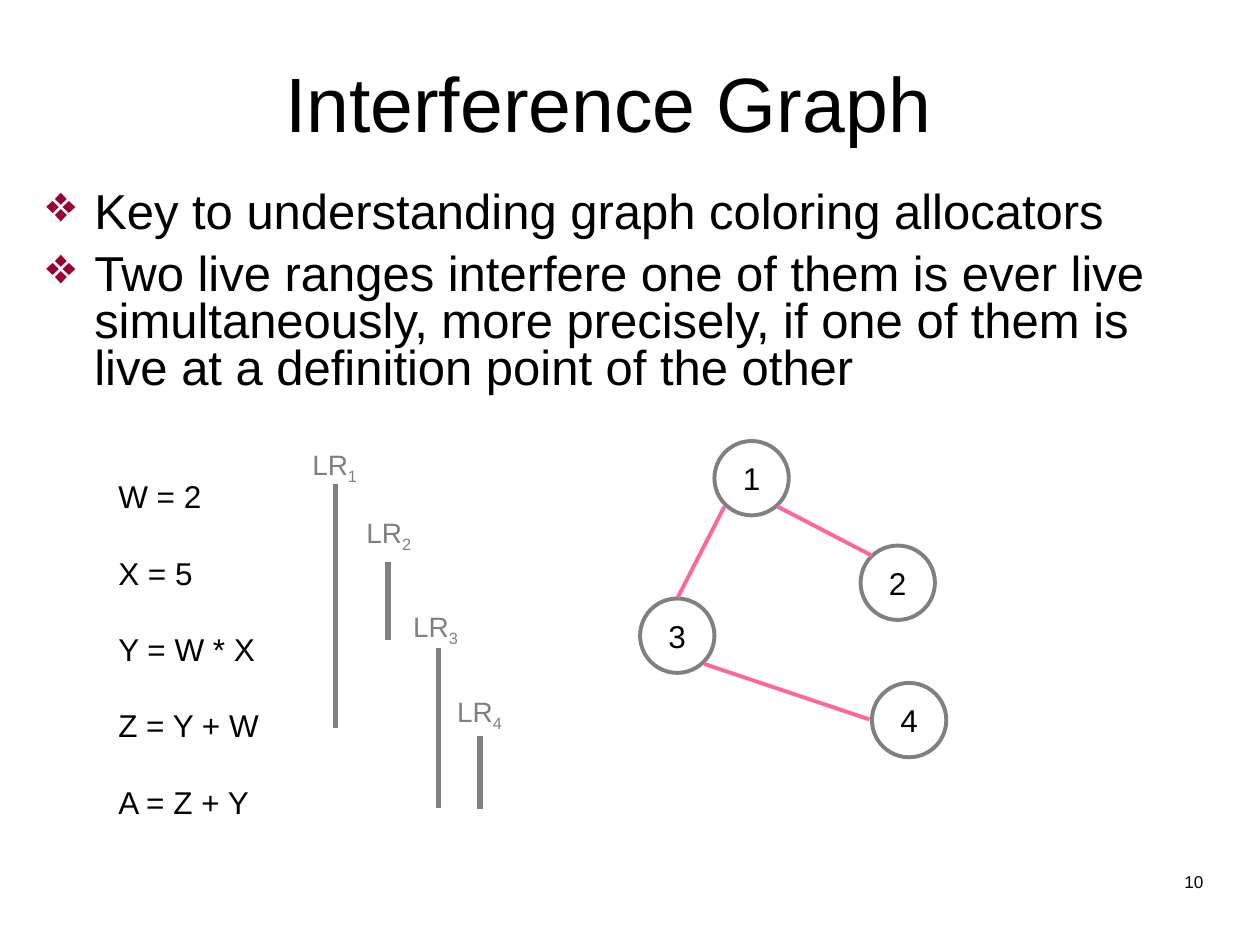
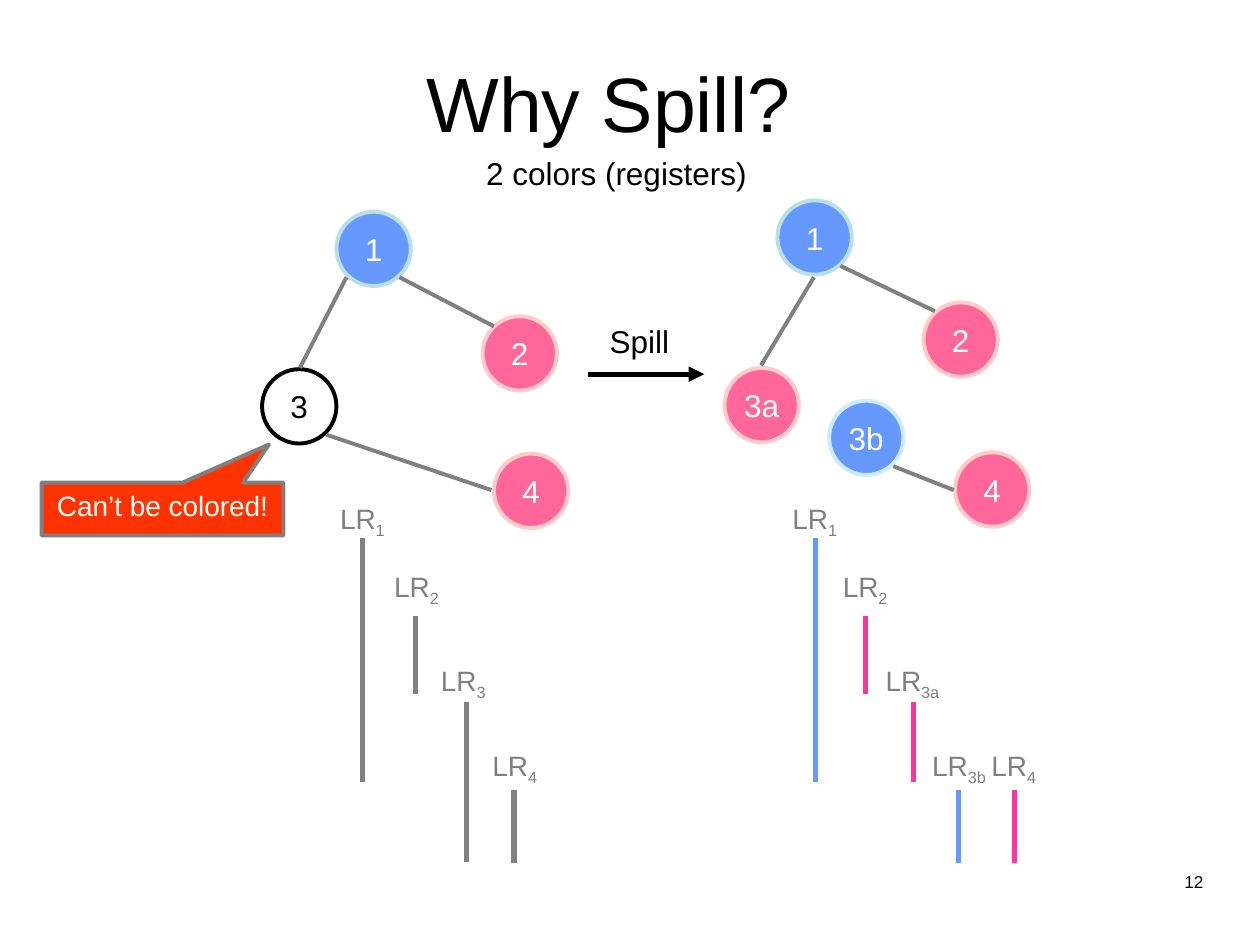
"""Build two slides on interference graphs and spilling."""
from dataclasses import dataclass, replace

from lxml import etree
from pptx import Presentation
from pptx.dml.color import RGBColor
from pptx.enum.shapes import MSO_CONNECTOR, MSO_SHAPE
from pptx.enum.text import MSO_ANCHOR, MSO_AUTO_SIZE, PP_ALIGN
from pptx.oxml.ns import qn
from pptx.slide import Slide
from pptx.text.text import TextFrame
from pptx.util import Inches, Pt

LEFT, CENTER, RIGHT = PP_ALIGN.LEFT, PP_ALIGN.CENTER, PP_ALIGN.RIGHT
MIDDLE, TOP = MSO_ANCHOR.MIDDLE, MSO_ANCHOR.TOP
NO_AUTOFIT = MSO_AUTO_SIZE.NONE
OVAL, CALLOUT = MSO_SHAPE.OVAL, MSO_SHAPE.RECTANGULAR_CALLOUT
STRAIGHT = MSO_CONNECTOR.STRAIGHT

FONT = "Arial"
BLACK, WHITE, GRAY = "000000", "FFFFFF", "808080"
BLUE, PINK, HOT_PINK = "6699FF", "FF6699", "FF3399"
PALE_TEAL, PALE_BLUE, PALE_PINK = "BBE0E3", "CCECFF", "FFCCCC"
MAROON, ORANGE_RED = "990033", "FF3300"
NODE_SIZE = 0.59
EDGE_WIDTH, BAR_WIDTH = 2.25, 3
LABEL_ROWS = (0, 0.54, 1.29, 1.96)
BAR_TOPS = (0.34, 0.96, 1.64, 2.34)

Point = tuple[float, float]
Box = tuple[float, float, float, float]
Edge = tuple[Point, Point]


@dataclass(frozen=True)
class Node:
    """A graph node placed relative to its graph."""
    name: str
    x: float
    y: float
    line: str = GRAY
    fill: str | None = None


@dataclass(frozen=True)
class LiveRange:
    """A labelled bar placed relative to its diagram."""
    name: str
    row: int
    label_x: float
    bar_x: float
    bottom: float
    color: str = GRAY


NODES = [
    Node("1", 0.59, 0), Node("2", 1.75, 0.83),
    Node("3", 0, 1.25), Node("4", 1.84, 1.92),
]
EDGES = [
    ((1.09, 0.52), (1.84, 0.91)),
    ((0.67, 0.52), (0.3, 1.24)),
    ((0.51, 1.77), (1.82, 2.21)),
]
NODE_COLORS = [(PALE_TEAL, BLUE), (PALE_PINK, PINK), (BLACK, None), (PALE_PINK, PINK)]
COLORED_NODES = [
    replace(node, line=line, fill=fill)
    for node, (line, fill) in zip(NODES, NODE_COLORS)
]
SPILLED_NODES = [
    Node("1", 0.42, 0, PALE_TEAL, BLUE),
    Node("2", 1.58, 0.81, PALE_PINK, PINK),
    Node("3a", 0, 1.33, PALE_PINK, PINK),
    Node("3b", 0.83, 1.59, PALE_BLUE, BLUE),
    Node("4", 1.83, 2, PALE_PINK, PINK),
]
SPILLED_EDGES = [
    ((0.92, 0.52), (1.67, 0.88)),
    ((0.71, 0.61), (0.29, 1.31)),
    ((1.34, 2.11), (1.82, 2.3)),
]
RANGES = [
    LiveRange("1", 0, 0, 0.28, 2.28),
    LiveRange("2", 1, 0.43, 0.7, 1.58),
    LiveRange("3", 2, 0.8, 1.1, 2.91),
    LiveRange("4", 3, 1.15, 1.43, 2.92),
]
UNCOLORED_RANGES = RANGES[:3] + [replace(RANGES[3], label_x=1.21, bar_x=1.48)]
SPILLED_RANGES = [
    LiveRange("1", 0, 0, 0.28, 2.28, BLUE),
    LiveRange("2", 1, 0.4, 0.68, 1.58, HOT_PINK),
    LiveRange("3a", 2, 0.74, 1.06, 2.28, HOT_PINK),
    LiveRange("3b", 3, 1.11, 1.42, 2.92, BLUE),
    LiveRange("4", 3, 1.58, 1.86, 2.92, HOT_PINK),
]
STATEMENTS = ["W = 2", "X = 5", "Y = W * X", "Z = Y + W", "A = Z + Y"]
KEY_POINTS = [
    "Key to understanding graph coloring allocators",
    "Two live ranges interfere one of them is ever live simultaneously, "
    "more precisely, if one of them is live at a definition point of the other",
]


def rgb(color: str) -> RGBColor:
    """Turn a hex string into a colour."""
    return RGBColor.from_string(color)


def style_text(frame: TextFrame, size: float, color: str = BLACK,
               align: PP_ALIGN = LEFT, anchor: MSO_ANCHOR = TOP,
               wrap: bool = True) -> None:
    """Format every run of a text frame alike."""
    frame.word_wrap = wrap
    frame.auto_size = NO_AUTOFIT
    frame.vertical_anchor = anchor
    for paragraph in frame.paragraphs:
        paragraph.alignment = align
        for run in paragraph.runs:
            run.font.name = FONT
            run.font.size = Pt(size)
            run.font.color.rgb = rgb(color)


def add_text(slide: Slide, text: str, box: Box, size: float = 18,
             align: PP_ALIGN = LEFT, wrap: bool = False) -> TextFrame:
    """Add a text box, one paragraph for each line."""
    frame = slide.shapes.add_textbox(*map(Inches, box)).text_frame
    frame.text = text
    style_text(frame, size, align=align, wrap=wrap)
    return frame


def add_line(slide: Slide, start: Point, end: Point, color: str,
             width: float, arrow: bool = False) -> None:
    """Draw a straight line, with an arrowhead at its end if asked."""
    line = slide.shapes.add_connector(STRAIGHT, *map(Inches, start + end))
    line.line.color.rgb = rgb(color)
    line.line.width = Pt(width)
    properties = line._element.spPr
    if arrow:
        etree.SubElement(properties.find(qn("a:ln")), qn("a:tailEnd"), type="triangle")
    etree.SubElement(properties, qn("a:effectLst"))


def add_filled_shape(slide: Slide, kind: MSO_SHAPE, box: Box, line: str,
                     fill: str | None):
    """Add a flat preset shape."""
    shape = slide.shapes.add_shape(kind, *map(Inches, box))
    shape.shadow.inherit = False
    shape.line.color.rgb = rgb(line)
    shape.line.width = Pt(EDGE_WIDTH)
    if fill:
        shape.fill.solid()
        shape.fill.fore_color.rgb = rgb(fill)
    else:
        shape.fill.background()
    return shape


def add_graph(slide: Slide, origin: Point, nodes: list[Node],
              edges: list[Edge], edge_color: str) -> None:
    """Draw an interference graph."""
    left, top = origin
    for node in nodes:
        box = (left + node.x, top + node.y, NODE_SIZE, NODE_SIZE)
        circle = add_filled_shape(slide, OVAL, box, node.line, node.fill)
        circle.text_frame.text = node.name
        style_text(circle.text_frame, 18, WHITE if node.fill else BLACK,
                   CENTER, MIDDLE, wrap=False)
    for (x1, y1), (x2, y2) in edges:
        add_line(slide, (left + x1, top + y1), (left + x2, top + y2),
                 edge_color, EDGE_WIDTH)


def add_live_ranges(slide: Slide, origin: Point, ranges: list[LiveRange]) -> None:
    """Draw live ranges as labelled vertical bars."""
    left, top = origin
    for live in ranges:
        x = left + live.bar_x
        add_line(slide, (x, top + BAR_TOPS[live.row]), (x, top + live.bottom),
                 live.color, BAR_WIDTH)
        width = 0.47 + 0.08 * len(live.name)
        label = add_text(slide, "LR", (left + live.label_x, top + LABEL_ROWS[live.row],
                                       width, 0.41))
        subscript = label.paragraphs[0].add_run()
        subscript.text = live.name
        subscript.font._element.set("baseline", "-25000")
        style_text(label, 16, GRAY, wrap=False)


def add_key_points(slide: Slide) -> None:
    """Add the bulleted key points."""
    frame = add_text(slide, "\n".join(KEY_POINTS), (0.27, 1.47, 9.13, 1.75), 28, wrap=True)
    for index, paragraph in enumerate(frame.paragraphs):
        paragraph.line_spacing = 0.8
        paragraph.space_before = Pt(8.8 if index else 0)
        properties = paragraph._p.get_or_add_pPr()
        properties.set("marL", str(Inches(0.38)))
        properties.set("indent", str(Inches(-0.38)))
        bullet_color = etree.SubElement(properties, qn("a:buClr"))
        etree.SubElement(bullet_color, qn("a:srgbClr"), val=MAROON)
        etree.SubElement(properties, qn("a:buSzPct"), val="105000")
        etree.SubElement(properties, qn("a:buChar"), char="❖")


def add_titled_slide(deck: Presentation, title: str, number: int) -> Slide:
    """Add a slide with its title and slide number."""
    slide = deck.slides.add_slide(deck.slide_layouts[5])
    heading = slide.shapes.title
    heading.left, heading.top = Inches(0.33), Inches(0.3)
    heading.width, heading.height = Inches(9), Inches(1.01)
    heading.text_frame.text = title
    style_text(heading.text_frame, 44, align=CENTER, anchor=MIDDLE)
    footer = add_text(slide, str(number), (8.06, 6.9, 1.59, 0.28), 9.8, RIGHT, wrap=True)
    footer.paragraphs[0].line_spacing = 0.8
    return slide


def build_interference_slide(deck: Presentation) -> None:
    """Build the slide that introduces the interference graph."""
    slide = add_titled_slide(deck, "Interference Graph", 10)
    add_key_points(slide)
    add_graph(slide, (5.08, 3.5), NODES, EDGES, PINK)
    code = add_text(slide, "\n".join(STATEMENTS), (0.84, 3.74, 1.32, 2.8))
    for statement in code.paragraphs[1:]:
        statement.space_before = Pt(22)
    add_live_ranges(slide, (2.38, 3.5), RANGES)


def build_spill_slide(deck: Presentation) -> None:
    """Build the slide that compares the graph before and after a spill."""
    slide = add_titled_slide(deck, "Why Spill?", 12)
    add_text(slide, "2 colors (registers)", (3.76, 1.17, 2.27, 0.4))
    add_graph(slide, (2.08, 1.68), COLORED_NODES, EDGES, GRAY)
    add_graph(slide, (5.75, 1.59), SPILLED_NODES, SPILLED_EDGES, GRAY)
    add_text(slide, "Spill", (4.74, 2.51, 0.67, 0.4))
    add_line(slide, (4.67, 2.97), (5.59, 2.97), BLACK, BAR_WIDTH, arrow=True)
    add_live_ranges(slide, (2.6, 3.93), UNCOLORED_RANGES)
    add_live_ranges(slide, (6.19, 3.93), SPILLED_RANGES)
    warning = add_filled_shape(slide, CALLOUT, (0.33, 3.83, 1.92, 0.42), GRAY, ORANGE_RED)
    warning.adjustments[0] = 0.44
    warning.adjustments[1] = -1.22
    warning.text_frame.text = "Can’t be colored!"
    style_text(warning.text_frame, 16, WHITE, CENTER)


def main() -> None:
    """Build and save the presentation."""
    deck = Presentation()
    deck.slide_width, deck.slide_height = Inches(10), Inches(7.5)
    build_interference_slide(deck)
    build_spill_slide(deck)
    deck.save("out.pptx")


if __name__ == "__main__":
    main()
